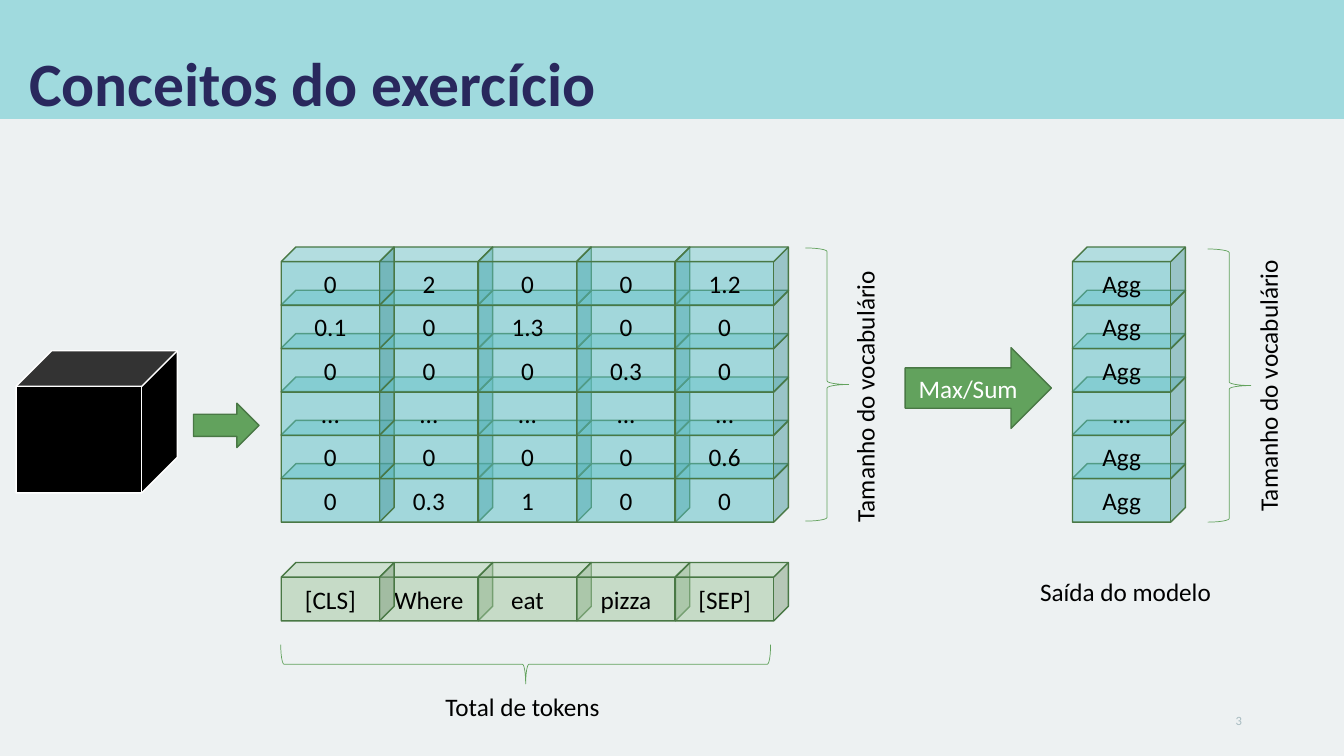
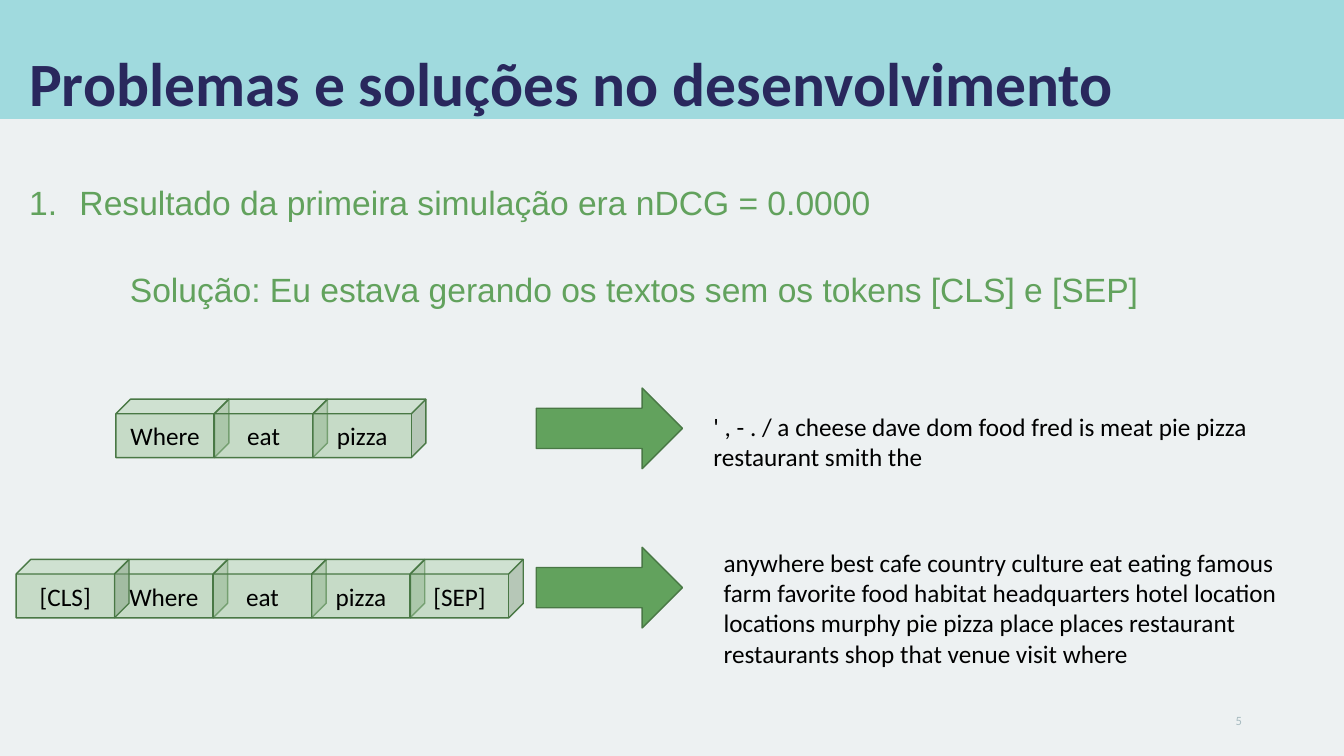
from dataclasses import dataclass

from pptx import Presentation
from pptx import util as u
from pptx.dml.color import RGBColor
from pptx.enum import shapes, text
from pptx.oxml.ns import qn
from pptx.oxml.xmlchemy import OxmlElement

Pt = u.Pt
SHAPE, ALIGN, ANCHOR = shapes.MSO_SHAPE, text.PP_ALIGN, text.MSO_ANCHOR

# Content
CONCEPTS = ("Conceitos do exercício", "3")
PROBLEMS = ("Problemas e soluções no desenvolvimento", "5")
QUERY = ["Where", "eat", "pizza"]
TOKENS = ["[CLS]", *QUERY, "[SEP]"]
SCORES = [
    ["0", "2", "0", "0", "1.2"],
    ["0.1", "0", "1.3", "0", "0"],
    ["0", "0", "0", "0.3", "0"],
    ["...", "...", "...", "...", "..."],
    ["0", "0", "0", "0", "0.6"],
    ["0", "0.3", "1", "0", "0"],
]
OUTPUT = [["Agg"], ["Agg"], ["Agg"], ["..."], ["Agg"], ["Agg"]]
VOCABULARY = "Tamanho do vocabulário"
TOTAL = "Total de tokens"
MODEL_OUTPUT = "Saída do modelo"
AGGREGATION = "Max/Sum"
RESULT = "Resultado da primeira simulação era nDCG = 0.0000"
SOLUTION = "Solução: Eu estava gerando os textos sem os tokens [CLS] e [SEP]"
WITHOUT_MARKS = ("' , - . / a cheese dave dom food fred is meat pie pizza "
                 "restaurant smith the")
WITH_MARKS = ("anywhere best cafe country culture eat eating famous farm "
              "favorite food habitat headquarters hotel location locations "
              "murphy pie pizza place places restaurant restaurants shop that "
              "venue visit where")


@dataclass(frozen=True)
class Theme:
    """Colours, fonts and type sizes of the deck."""
    page: str = "EDF1F2"
    band: str = "A0DADE"
    title: str = "29285D"
    number: str = "A7BBC0"
    ink: str = "000000"
    white: str = "FFFFFF"
    green: str = "62A25D"
    edge: str = "497845"
    token: str = "A1C79E"
    score: str = "59BEC5"
    font: str = "Calibri"
    body_font: str = "Arial"
    title_size: int = 44
    body_size: int = 24
    label_size: int = 18
    number_size: int = 9


T = Theme()
WIDTH, HEIGHT = 960, 540
CUBE_W, CUBE_H = 80.64, 41.76
COL_STEP, ROW_STEP = 70.4, 30.96
ARROW_W, ARROW_H = 104.4, 57.6
GRID_TOP, GRID_LEFT, OUTPUT_LEFT = 176.4, 200.88, 766.08
BRACE_W, BRACE_H = 30.96, 195.12
LABEL_W, LABEL_H = 210.24, 29


def write(p, content, size=T.label_size, color=T.ink, font=T.font, bold=False,
          align=None, line=None, before=None):
    """Put one formatted run into a paragraph."""
    p.alignment, p.line_spacing = align, line
    if before is not None:
        p.space_before = Pt(before)
    r = p.add_run()
    r.text = content
    r.font.name, r.font.size, r.font.bold = font, Pt(size), bold
    r.font.color.rgb = RGBColor.from_string(color)


def add_text(s, box, content, anchor=ANCHOR.TOP, rotation=0, wrap=True,
             grow=False, **fmt):
    """Add a one-paragraph text box and return its text frame."""
    sp = s.shapes.add_textbox(*map(Pt, box))
    sp.rotation = rotation
    tf = sp.text_frame
    tf.word_wrap, tf.vertical_anchor = wrap, anchor
    tf.auto_size = (text.MSO_AUTO_SIZE.SHAPE_TO_FIT_TEXT if grow
                    else text.MSO_AUTO_SIZE.NONE)
    write(tf.paragraphs[0], content, **fmt)
    return tf


def add_shape(s, kind, box, fill=None, line=None, weight=1, alpha=None,
              content=None, rotation=0, color=T.ink):
    """Add a preset shape with optional transparency and centred text."""
    sp = s.shapes.add_shape(kind, *map(Pt, box))
    sp.shadow.inherit = False
    sp.rotation = rotation
    if fill:
        sp.fill.solid()
        sp.fill.fore_color.rgb = RGBColor.from_string(fill)
    else:
        sp.fill.background()
    if alpha is not None:
        node = OxmlElement("a:alpha")
        node.set("val", str(alpha * 1000))
        sp.element.spPr.find(qn("a:solidFill"))[0].append(node)
    if line:
        sp.line.color.rgb = RGBColor.from_string(line)
        sp.line.width = Pt(weight)
    else:
        sp.line.fill.background()
    if content:
        tf = sp.text_frame
        tf.vertical_anchor = ANCHOR.MIDDLE
        write(tf.paragraphs[0], content, color=color, align=ALIGN.CENTER)


def add_cubes(s, left, top, rows, fill, first_on_top=True):
    """Stack rows of cubes from the bottom up."""
    for i, row in reversed(list(enumerate(rows))):
        cells = list(enumerate(row))
        if first_on_top:
            cells = cells[1:] + cells[:1]
        for j, content in cells:
            box = (left + j * COL_STEP, top + i * ROW_STEP, CUBE_W, CUBE_H)
            add_shape(s, SHAPE.CUBE, box, fill, T.edge, alpha=50,
                      content=content)


def add_arrow(s, left, top, width=ARROW_W, height=ARROW_H, content=None):
    """Add a green block arrow."""
    add_shape(s, SHAPE.RIGHT_ARROW, (left, top, width, height), T.green,
              T.edge, content=content, color=T.white)


def add_brace(s, box, rotation=0):
    """Add a thin green brace."""
    add_shape(s, SHAPE.RIGHT_BRACE, box, line=T.green, weight=0.5,
              rotation=rotation)


def add_slide(prs, title, number):
    """Add a slide with the shared background, band, title and number."""
    s = prs.slides.add_slide(prs.slide_layouts[6])
    s.background.fill.solid()
    s.background.fill.fore_color.rgb = RGBColor.from_string(T.page)
    add_shape(s, SHAPE.RECTANGLE, (0, 0, WIDTH, 85), T.band)
    add_text(s, (13.68, 31.68, 892, 57.6), title, anchor=ANCHOR.BOTTOM,
             size=T.title_size, color=T.title, bold=True, line=0.9)
    add_text(s, (678.24, 500.4, 216, 28.8), number, anchor=ANCHOR.MIDDLE,
             size=T.number_size, color=T.number, align=ALIGN.RIGHT)
    return s


def build_concepts(prs):
    """Token scores aggregated into one vocabulary vector."""
    s = add_slide(prs, *CONCEPTS)
    add_shape(s, SHAPE.CUBE, (11.52, 250.56, 115.2, 101.52), T.ink, T.white)
    add_arrow(s, 138.24, 288, 46.8, 31.68)
    add_cubes(s, GRID_LEFT, 401.76, [TOKENS], T.token)
    add_cubes(s, GRID_LEFT, GRID_TOP, SCORES, T.score)
    add_arrow(s, 646.56, 248.4, content=AGGREGATION)
    add_cubes(s, OUTPUT_LEFT, GRID_TOP, OUTPUT, T.score)
    add_text(s, (735.84, 408.24, 141.84, LABEL_H), MODEL_OUTPUT, wrap=False,
             grow=True)
    for brace_left, brace_top, label_left, label_top in (
            (575.28, 177.12, 512.64, 260.64), (862.56, 177.84, 800.64, 252.72)):
        add_brace(s, (brace_left, brace_top, BRACE_W, BRACE_H))
        add_text(s, (label_left, label_top, LABEL_W, LABEL_H), VOCABULARY,
                 rotation=270, grow=True)
    add_brace(s, (361.44, 299.52, 28.08, 349.92), rotation=90)
    add_text(s, (311.04, 490.32, LABEL_W, LABEL_H), TOTAL, grow=True)


def build_problems(prs):
    """Results with and without the marker tokens."""
    s = add_slide(prs, *PROBLEMS)
    body = dict(size=T.body_size, color=T.green, font=T.body_font, line=0.9)
    tf = add_text(s, (13.68, 129.6, 920.88, 120.24), RESULT, before=10, **body)
    pPr = tf.paragraphs[0]._p.get_or_add_pPr()
    pPr.set("marL", str(Pt(36)))
    pPr.set("indent", str(Pt(-36)))
    bullet = OxmlElement("a:buAutoNum")
    bullet.set("type", "arabicPeriod")
    pPr.append(bullet)
    p = tf.add_paragraph()
    p.level = 1
    write(p, SOLUTION, before=36, **body)
    pPr = p._p.get_or_add_pPr()
    pPr.set("marL", str(Pt(72)))
    pPr.set("indent", "0")

    add_cubes(s, 82.8, 285.12, [QUERY], T.token, first_on_top=False)
    add_cubes(s, 11.52, 399.6, [TOKENS], T.token)
    for top in (277.2, 390.96):
        add_arrow(s, 383.04, top)
    add_text(s, (509.76, 387.36, 409.68, 116.64), WITH_MARKS, grow=True)
    add_text(s, (502.56, 290.16, 409.68, 51.12), WITHOUT_MARKS, grow=True)


prs = Presentation()
prs.slide_width, prs.slide_height = Pt(WIDTH), Pt(HEIGHT)
build_concepts(prs)
build_problems(prs)
prs.save("out.pptx")
